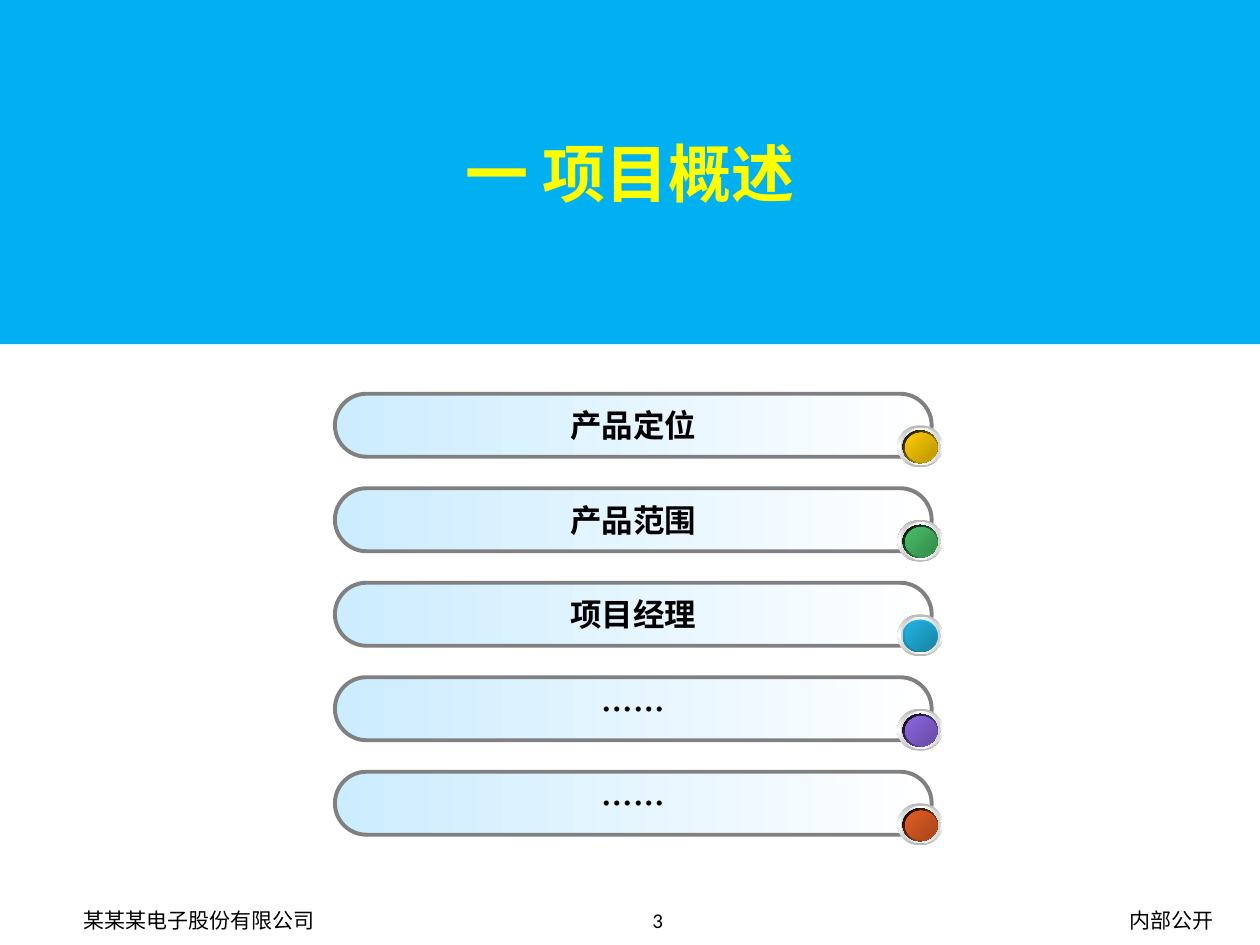
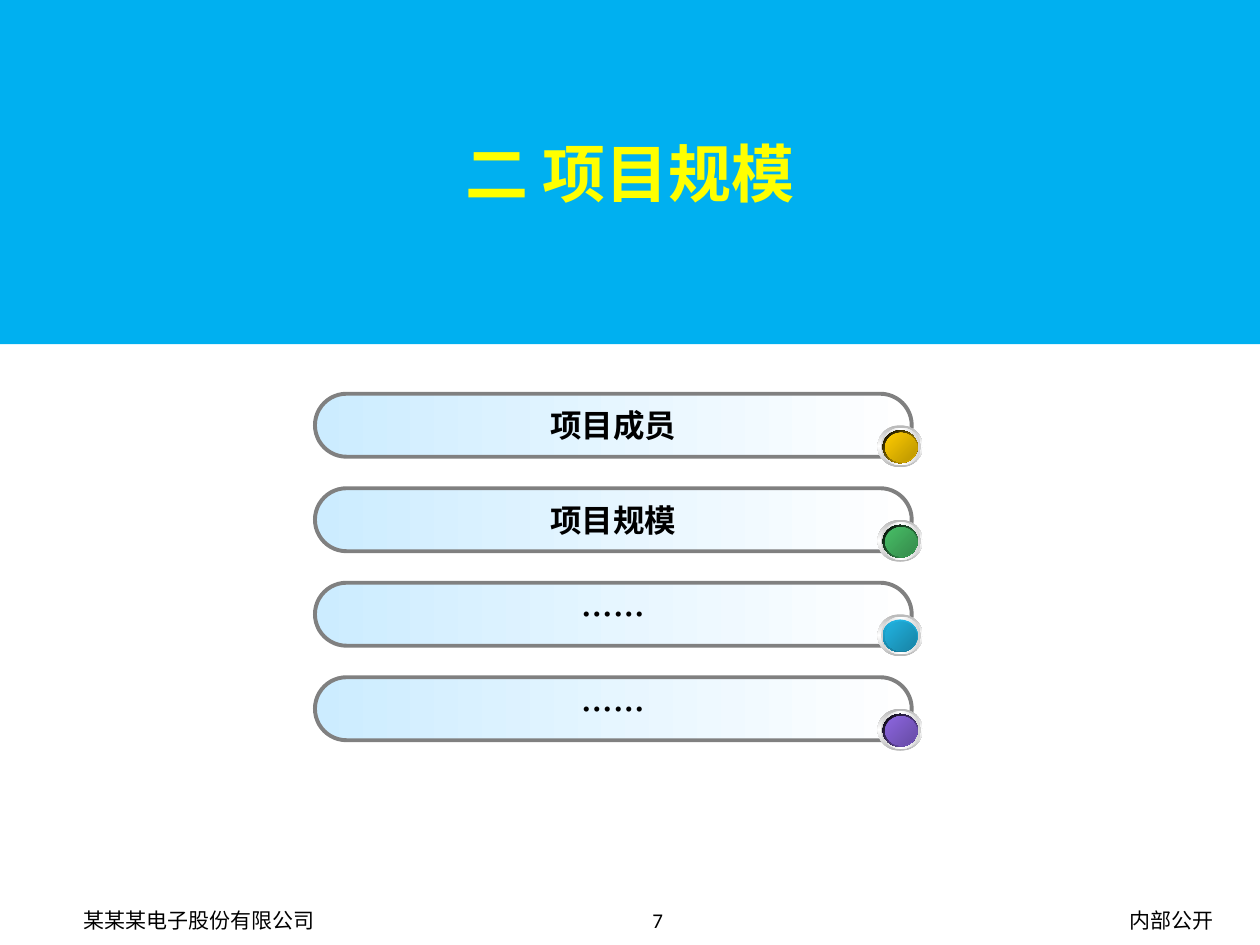
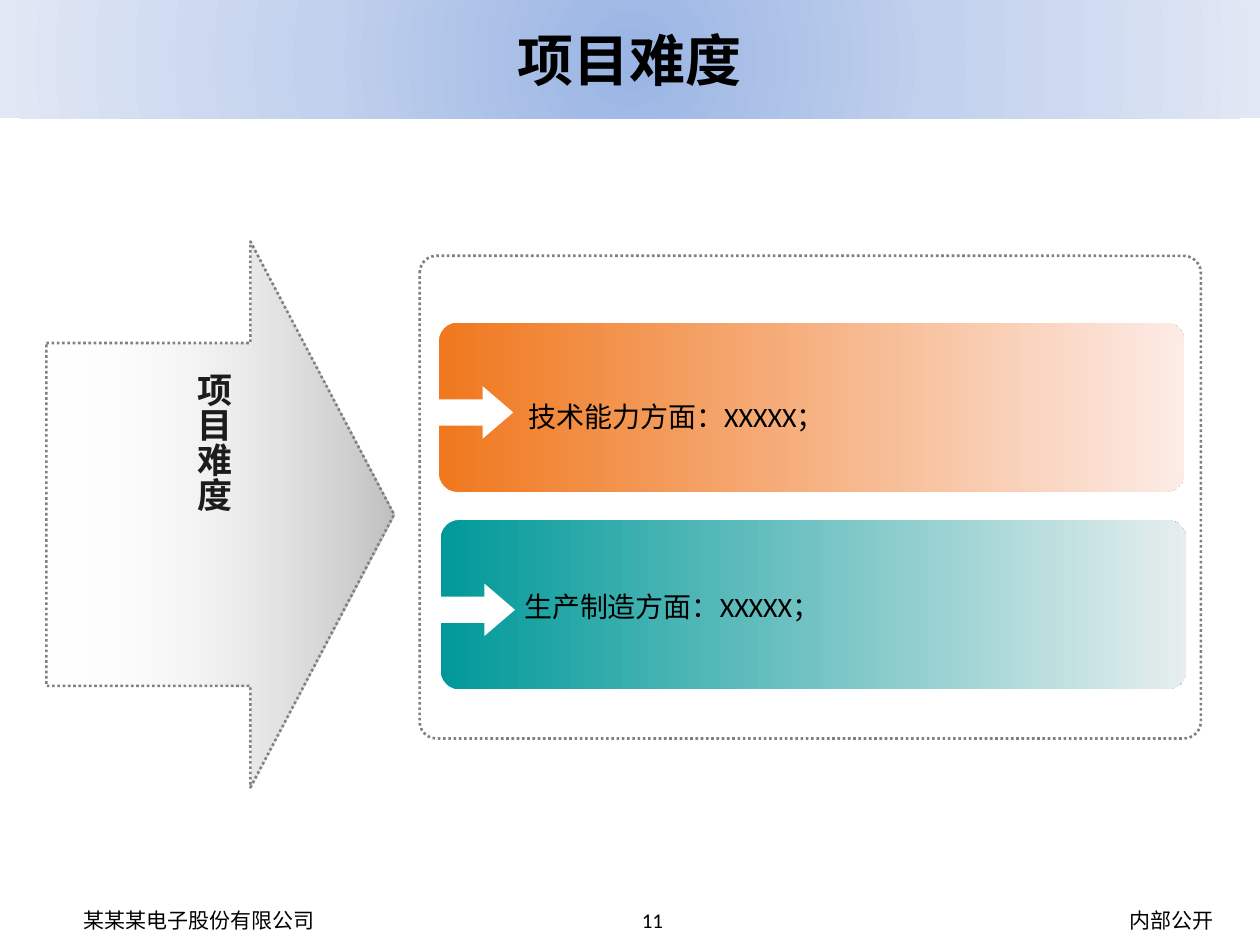
from pptx import Presentation
from pptx.dml.color import RGBColor
from pptx.enum.dml import MSO_LINE
from pptx.enum.shapes import MSO_SHAPE
from pptx.enum.text import MSO_ANCHOR, MSO_AUTO_SIZE, PP_ALIGN
from pptx.oxml import parse_xml
from pptx.oxml.ns import nsdecls, qn
from pptx.util import Pt

BLACK = RGBColor(0x00, 0x00, 0x00)
WHITE = RGBColor(0xFF, 0xFF, 0xFF)
INK = RGBColor(0x1C, 0x1C, 0x1C)
GRAY = RGBColor(0x80, 0x80, 0x80)
STEEL = RGBColor(0xB6, 0xB6, 0xB6)
SILVER = RGBColor(0xD1, 0xD1, 0xD1)
SKY = RGBColor(0x00, 0xB0, 0xF0)
YELLOW = RGBColor(0xFF, 0xFF, 0x00)
ICE = RGBColor(0xCC, 0xEC, 0xFF)
GOLD = RGBColor(0xFF, 0xCC, 0x00)
OCHRE = RGBColor(0xBA, 0x95, 0x00)
GREEN = RGBColor(0x48, 0xBE, 0x67)
MOSS = RGBColor(0x35, 0x8B, 0x4B)
BLUE = RGBColor(0x21, 0xB3, 0xE1)
NAVY = RGBColor(0x18, 0x80, 0xA1)
DEEP = RGBColor(0x18, 0x83, 0xA4)
VIOLET = RGBColor(0x8D, 0x67, 0xE1)
PLUM = RGBColor(0x67, 0x4B, 0xA4)
RED = RGBColor(0xE3, 0x5E, 0x23)
RUST = RGBColor(0xA6, 0x45, 0x1A)
ORANGE = RGBColor(0xF0, 0x78, 0x1E)
PEACH = RGBColor(0xFC, 0xEB, 0xE6)
TEAL = RGBColor(0x00, 0x99, 0x99)
MIST = RGBColor(0xE6, 0xEE, 0xEE)
HEAD = [RGBColor(0x9A, 0xB5, 0xE4), RGBColor(0xC2, 0xD1, 0xED), RGBColor(0xE1, 0xE8, 0xF5)]

SANS = "Noto Sans CJK SC"
BODY = "Calibri"
WIDE = 720

ORBS = [
    (BLACK, GOLD, OCHRE, 45),
    (BLACK, GREEN, MOSS, 45),
    (NAVY, BLUE, DEEP, 90),
    (BLACK, VIOLET, PLUM, 45),
    (BLACK, RED, RUST, 45),
]
FOOT = {"size": Pt(12), "name": BODY}
HERO = {"size": Pt(36), "name": SANS, "bold": True}
TOPIC = {"size": Pt(32), "name": SANS, "bold": True}
LABEL = {"size": Pt(18), "name": SANS, "bold": True}
SIDE = {"size": Pt(20), "name": BODY, "bold": True}
NOTE = {"size": Pt(16), "name": BODY}


def apply(item, vals):
    for key, val in vals.items():
        setattr(item, key, val)


def place(shape, box):
    apply(shape, dict(zip(("left", "top", "width", "height"), map(Pt, box))))


def shade(shape, tones, angle=0, alphas=None, round_fill=False):
    last = len(tones) - 1
    stops = "".join(
        f'<a:gs pos="{100000 * i // last}"><a:srgbClr val="{tone}">'
        f'<a:alpha val="{(alphas or [100] * (last + 1))[i] * 1000}"/></a:srgbClr></a:gs>'
        for i, tone in enumerate(tones))
    course = f'<a:lin ang="{angle * 60000}" scaled="1"/>'
    if round_fill:
        course = ('<a:path path="circle"><a:fillToRect l="50000" t="50000" '
                  'r="50000" b="50000"/></a:path>')
    shape.fill.gradient()
    old = shape._element.spPr.find(qn("a:gradFill"))
    old.getparent().replace(old, parse_xml(
        f'<a:gradFill {nsdecls("a")} rotWithShape="1"><a:gsLst>{stops}</a:gsLst>'
        f'{course}</a:gradFill>'))


def write(shape, text, look, tone=BLACK, align=PP_ALIGN.CENTER, **frame):
    base = {"vertical_anchor": MSO_ANCHOR.MIDDLE, "word_wrap": True}
    apply(shape.text_frame, {**base, **frame})
    para = shape.text_frame.paragraphs[0]
    para.alignment = align
    run = para.add_run()
    run.text = text
    apply(run.font, look)
    run.font.color.rgb = tone
    run._r.get_or_add_rPr().append(parse_xml(f'<a:ea {nsdecls("a")} typeface="{SANS}"/>'))


def draw(shapes, kind, box, adjust=(), line=0, dash=None):
    shape = shapes.add_shape(kind, *map(Pt, box))
    shape.shadow.inherit = False
    for i, val in enumerate(adjust):
        shape.adjustments[i] = val
    if line:
        shape.line.color.rgb = GRAY
        apply(shape.line, {"width": Pt(line), "dash_style": dash})
    else:
        shape.line.fill.background()
    return shape


def label(slide, box, text, look, **opts):
    shape = slide.shapes.add_textbox(*map(Pt, box))
    write(shape, text, look, **opts)
    return shape


def start(deck, title, height, look, tone, page):
    slide = deck.slides.add_slide(deck.slide_layouts[5])
    head = slide.shapes.title
    place(head, (0, 0, WIDE, height))
    write(head, title, look, tone, auto_size=MSO_AUTO_SIZE.NONE)
    label(slide, (19.5, 511, 188.5, 29), "某某某电子股份有限公司", FOOT)
    label(slide, (618.5, 511, 101.5, 29), "内部公开", FOOT)
    label(slide, (354, 511, 32, 29), str(page), FOOT, align=PP_ALIGN.RIGHT)
    return slide


def orb(shapes, left, top, rim, tone, dark, turn):
    rim_tones = (tone, rim) if turn == 90 else (rim, tone)
    rings = [
        (0, 0, 26, 24, (STEEL, WHITE, STEEL), 90),
        (2, 1.5, 23, 21.5, (SILVER, WHITE, SILVER), 0),
        (3, 3, 20, 18.7, rim_tones, turn),
        (4.4, 4.3, 18, 16.6, (tone, dark), 45),
    ]
    for dx, dy, width, height, tones, angle in rings:
        ring = draw(shapes, MSO_SHAPE.OVAL, (left + dx, top + dy, width, height))
        shade(ring, tones, angle)


def pill(slide, left, top, text, tones):
    group = slide.shapes.add_group_shape().shapes
    bar = draw(group, MSO_SHAPE.ROUNDED_RECTANGLE, (left, top, 341, 36), [0.5], 2.25)
    shade(bar, (ICE, WHITE))
    write(bar, text, LABEL, word_wrap=False)
    orb(group, left + 321.4, top + 18, *tones)


def section(deck, title, page, left, items):
    slide = start(deck, title, 196.7, HERO, YELLOW, page)
    head = slide.shapes.title
    head.fill.solid()
    head.fill.fore_color.rgb = SKY
    for i, (text, tones) in enumerate(zip(items, ORBS)):
        pill(slide, left, 225 + 54 * i, text, tones)


def band(slide, left, top, tones):
    group = slide.shapes.add_group_shape().shapes
    bar = draw(group, MSO_SHAPE.ROUNDED_RECTANGLE, (left, top, 426, 96.5), [0.109])
    shade(bar, tones)
    arrow = draw(group, MSO_SHAPE.RIGHT_ARROW, (left - 4, top + 36.2, 46.5, 30), [0.5, 0.583])
    arrow.fill.solid()
    arrow.fill.fore_color.rgb = WHITE


def topic(deck):
    slide = start(deck, "项目难度", 67.5, TOPIC, BLACK, 11)
    shade(slide.shapes.title, HEAD, round_fill=True)
    dots = {"line": 1.5, "dash": MSO_LINE.ROUND_DOT}
    arrow = draw(slide.shapes, MSO_SHAPE.RIGHT_ARROW, (26.5, 138, 198.7, 312),
                 [0.628, 0.413], **dots)
    shade(arrow, (WHITE, GRAY), alphas=(0, 50))
    side = label(slide, (98.6, 206, 39, 139), "项目难度", SIDE, tone=INK,
                 vertical_anchor=MSO_ANCHOR.TOP, auto_size=MSO_AUTO_SIZE.SHAPE_TO_FIT_TEXT)
    side.text_frame._txBody.bodyPr.set("vert", "eaVert")
    panel = draw(slide.shapes, MSO_SHAPE.ROUNDED_RECTANGLE, (239.8, 146.2, 446.4, 275.8),
                 [0.035], **dots)
    panel.fill.background()
    rows = [
        ("技术能力方面：XXXXX；", (295, 224.6, 358, 26.6), (ORANGE, PEACH)),
        ("生产制造方面：XXXXX；", (292.5, 333.4, 363.6, 26.6), (TEAL, MIST)),
    ]
    for i, (text, box, tones) in enumerate(rows):
        band(slide, 250.8 + i, 184.5 + 112.8 * i, tones)
        label(slide, box, text, NOTE, align=PP_ALIGN.LEFT, vertical_anchor=MSO_ANCHOR.TOP,
              auto_size=MSO_AUTO_SIZE.SHAPE_TO_FIT_TEXT)


def main():
    deck = Presentation()
    apply(deck, {"slide_width": Pt(WIDE), "slide_height": Pt(540)})
    section(deck, "一 项目概述", 3, 191.4, ["产品定位", "产品范围", "项目经理", "……", "……"])
    section(deck, "二 项目规模", 7, 180, ["项目成员", "项目规模", "……", "……"])
    topic(deck)
    deck.save("out.pptx")


if __name__ == "__main__":
    main()
